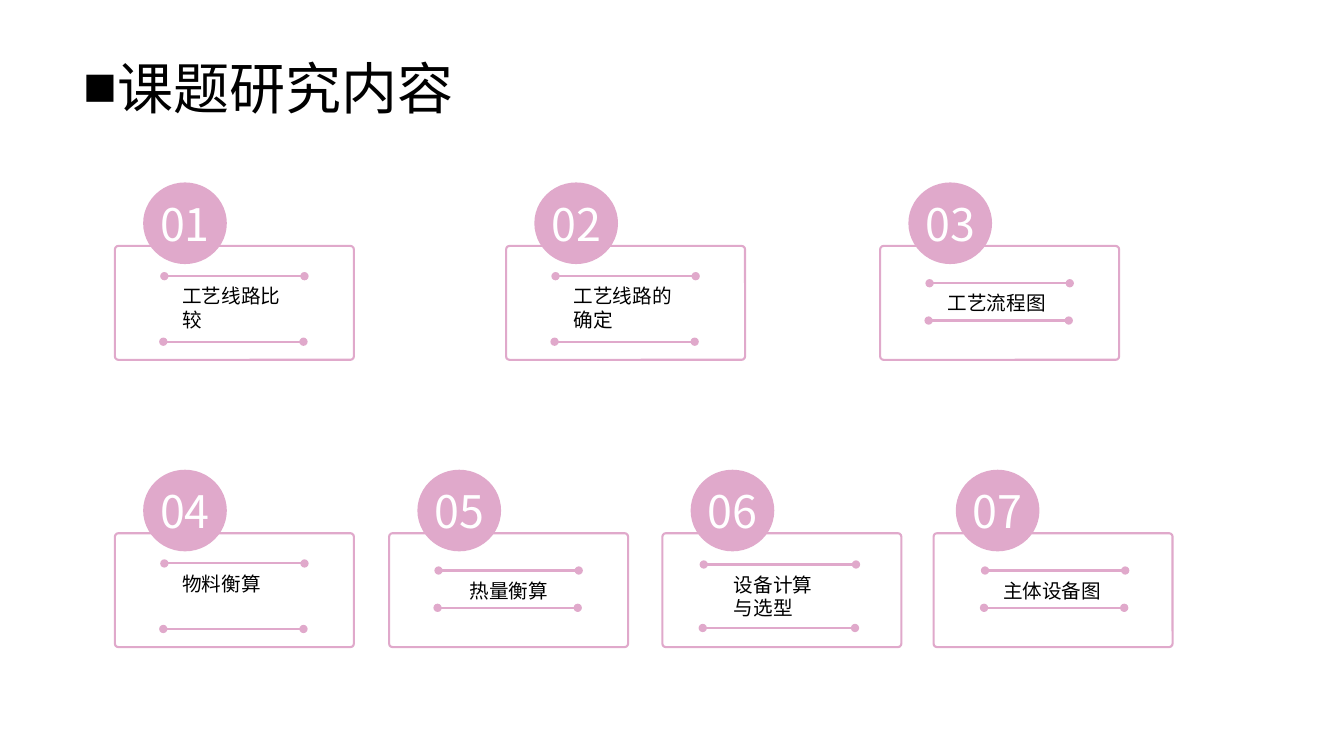
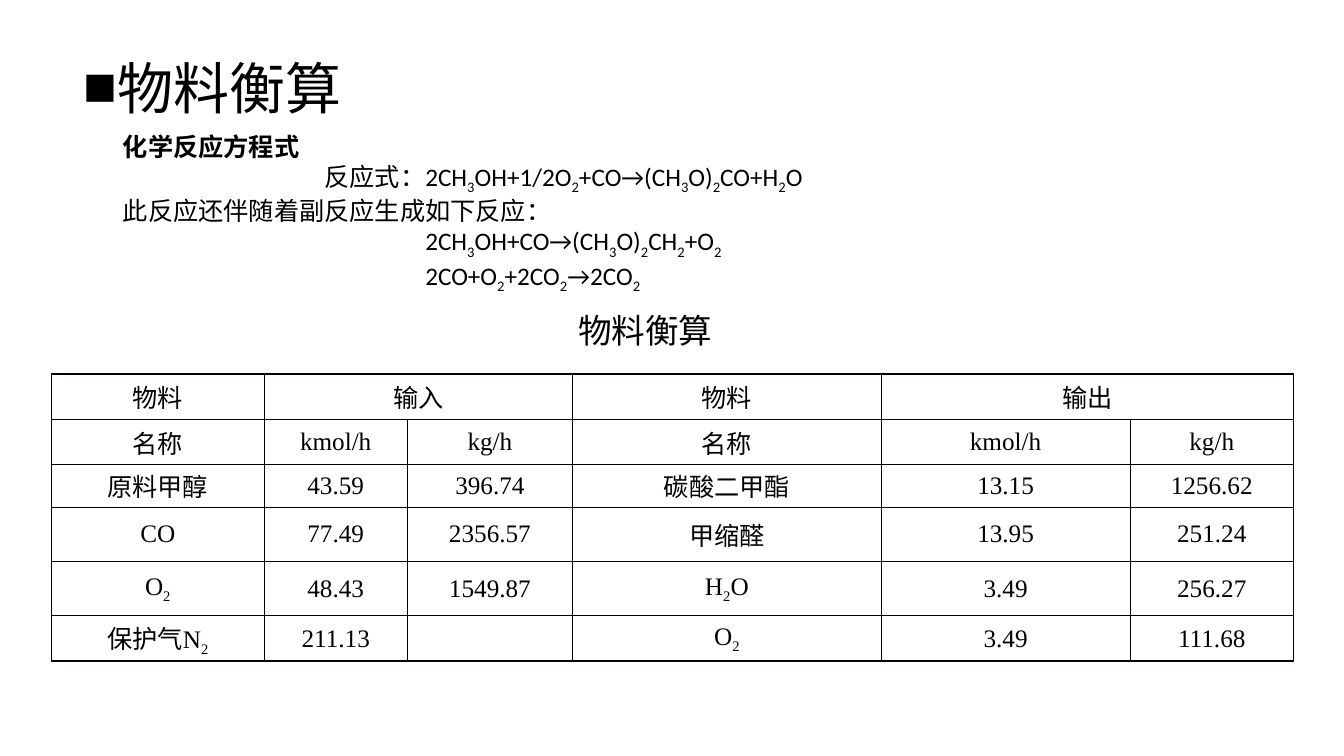
import pptx
import pptx.util
import pptx.dml.color
import pptx.enum.shapes
import pptx.enum.text
import pptx.oxml
import pptx.oxml.ns
from pptx.util import Inches

SHAPE = pptx.enum.shapes.MSO_SHAPE
CENTER = pptx.enum.text.PP_ALIGN.CENTER
MIDDLE = pptx.enum.text.MSO_ANCHOR.MIDDLE
NS = pptx.oxml.ns.nsdecls("a")


def rgb(hex_color):
    return pptx.dml.color.RGBColor.from_string(hex_color)


def element(xml):
    """Build one drawing element; a bar follows its tag name."""
    tag, rest = xml[1:].split("|", 1)
    return pptx.oxml.parse_xml(f"<a:{tag} {NS} {rest}")


class Deck:
    PINK, BLACK, WHITE, RULE = "E0A9CB", "000000", "FFFFFF", "080000"
    HEAD, BODY, TABLE = "Noto Sans CJK SC", "Calibri", "Times New Roman"

    def __init__(self):
        self.prs = pptx.Presentation()
        self.prs.slide_width = Inches(13.33)
        self.prs.slide_height = Inches(7.5)
        self.s = None

    def slide(self, title):
        self.s = self.prs.slides.add_slide(self.prs.slide_layouts[6])
        p = self.text(0.73, 0.48, 4.29, 0.77, [title], 40, self.HEAD).paragraphs[0]
        self.indent(p, 0.31, -0.31)
        pPr = p._p.get_or_add_pPr()
        pPr.append(element(f'<buFont|typeface="{self.TABLE}"/>'))
        pPr.append(element('<buChar|char="■"/>'))

    def indent(self, p, left, first=0):
        pPr = p._p.get_or_add_pPr()
        pPr.set("marL", str(Inches(left)))
        pPr.set("indent", str(Inches(first)))

    def add_runs(self, p, text, size, font, color=BLACK, align=None):
        """Fill a paragraph; the character after each underscore is a subscript."""
        first, *others = text.split("_")
        pieces = [(first, False)]
        for other in others:
            pieces += [(other[0], True), (other[1:], False)]
        p.alignment = align
        for piece, lowered in pieces:
            if not piece:
                continue
            r = p.add_run()
            r.text = piece
            r.font.size = pptx.util.Pt(size)
            r.font.name = font
            r.font.color.rgb = rgb(color)
            rPr = r._r.get_or_add_rPr()
            rPr.append(element(f'<ea|typeface="{self.HEAD}"/>'))
            if lowered:
                rPr.set("baseline", "-25000")

    def text(self, left, top, width, height, lines, size, font, align=None):
        box = self.s.shapes.add_textbox(*map(Inches, (left, top, width, height)))
        tf = box.text_frame
        tf.word_wrap = True
        for i, line in enumerate(lines):
            p = tf.add_paragraph() if i else tf.paragraphs[0]
            self.add_runs(p, line, size, font, align=align)
        return tf

    def shape(self, kind, left, top, width, height):
        sp = self.s.shapes.add_shape(kind, *map(Inches, (left, top, width, height)))
        sp.shadow.inherit = False
        return sp

    def frame(self, left, top):
        sp = self.shape(SHAPE.ROUNDED_RECTANGLE, left, top, 2.37, 1.13)
        sp.adjustments[0] = 0.03
        sp.fill.background()
        sp.line.color.rgb = rgb(self.PINK)
        sp.line.width = pptx.util.Pt(1.5)

    def badge(self, left, top, number):
        sp = self.shape(SHAPE.OVAL, left, top, 0.83, 0.81)
        sp.fill.solid()
        sp.fill.fore_color.rgb = rgb(self.PINK)
        sp.line.fill.background()
        tf = sp.text_frame
        tf.word_wrap = False
        tf.vertical_anchor = MIDDLE
        self.add_runs(tf.paragraphs[0], f"{number:02}", 32, self.HEAD, self.WHITE, CENTER)

    def dotted_rule(self, left, top, width):
        """Draw a horizontal line with a dot at each end."""
        line = self.s.shapes.add_connector(
            pptx.enum.shapes.MSO_CONNECTOR.STRAIGHT,
            *map(Inches, (left, top, left + width, top)))
        line.line.color.rgb = rgb(self.PINK)
        line.line.width = pptx.util.Pt(1.5)
        for end in ("headEnd", "tailEnd"):
            line.line._get_or_add_ln().append(element(f'<{end}|type="oval"/>'))
        line._element.spPr.append(element("<effectLst|/>"))

    def card(self, number, left, top, text, rules, rule_x=0.49, rule_w=1.39,
             text_x=0.57, text_w=1.2, badge_x=0.28):
        """Draw a numbered card; all offsets are from the frame's corner."""
        self.frame(left, top)
        upper, lower = rules
        self.dotted_rule(left + rule_x, top + upper, rule_w)
        self.dotted_rule(left + rule_x - 0.01, top + lower, rule_w)
        self.text(left + text_x, top + upper + 0.03, text_w, lower - upper - 0.06,
                  [text], 14, self.BODY)
        self.badge(left + badge_x, top - 0.63, number)

    def borders(self, cell, top, bottom):
        tcPr = cell._tc.get_or_add_tcPr()
        for side, width in (("L", 0.75), ("R", 0.75), ("T", top), ("B", bottom)):
            color = self.RULE if width > 0.75 else self.BLACK
            tcPr.append(element(
                f'<ln{side}|w="{pptx.util.Pt(width)}"><a:solidFill>'
                f'<a:srgbClr val="{color}"/></a:solidFill></a:ln{side}>'))

    def table(self, left, top, widths, heights, rows, merges):
        size = Inches(sum(widths)), Inches(sum(heights))
        tbl = self.s.shapes.add_table(len(rows), len(widths), Inches(left),
                                      Inches(top), *size).table
        tbl.first_row = tbl.horz_banding = False
        for column, width in zip(tbl.columns, widths):
            column.width = Inches(width)
        for row, height in zip(tbl.rows, heights):
            row.height = Inches(height)
        for row, first, last in merges:
            tbl.cell(row, first).merge(tbl.cell(row, last))
        # The outer rules are heavy and the header row closes with a medium one.
        rules = [1.5, 1] + [0.75] * (len(rows) - 2) + [1.5]
        for i, row in enumerate(rows):
            for j, text in enumerate(row):
                cell = tbl.cell(i, j)
                cell.margin_left = cell.margin_right = 0
                cell.margin_top = cell.margin_bottom = 0
                cell.vertical_anchor = MIDDLE
                self.borders(cell, rules[i], rules[i + 1])
                cell.fill.background()
                self.add_runs(cell.text_frame.paragraphs[0], text, 18, self.TABLE,
                              align=CENTER)


def contents_slide(deck):
    deck.slide("课题研究内容")
    tall, short = (0.3, 0.95), (0.37, 0.74)
    row_1, row_2 = 2.44, 5.29
    deck.card(1, 1.14, row_1, "工艺线路比较", tall)
    deck.card(2, 5.02, row_1, "工艺线路的确定", tall)
    deck.card(3, 8.73, row_1, "工艺流程图", short)
    deck.card(4, 1.14, row_2, "物料衡算", tall)
    deck.card(5, 3.86, row_2, "热量衡算", short, text_x=0.7)
    deck.card(6, 6.57, row_2, "设备计算与选型", (0.31, 0.94), rule_x=0.41,
              rule_w=1.51, text_x=0.61, text_w=1.05)
    deck.card(7, 9.26, row_2, "主体设备图", short, rule_x=0.51, text_x=0.59,
              badge_x=0.22)


def balance_slide(deck):
    deck.slide("物料衡算")
    equations = deck.text(1.12, 1.25, 11.1, 1.6, [
        "化学反应方程式",
        "反应式：2CH_3OH+1/2O_2+CO→(CH_3O)_2CO+H_2O",
        "此反应还伴随着副反应生成如下反应：",
        "2CH_3OH+CO→(CH_3O)_2CH_2+O_2",
        "2CO+O_2+2CO_2→2CO_2",
    ], 18, deck.BODY).paragraphs
    equations[0].runs[0].font.bold = True
    for p, left in ((equations[1], 2), (equations[3], 3), (equations[4], 3)):
        deck.indent(p, left)
    deck.text(0.73, 3.03, 11.34, 0.5, ["物料衡算"], 24, deck.HEAD, CENTER)
    deck.table(
        0.51, 3.71,
        [2.11, 1.42, 1.64, 3.06, 2.47, 1.62],
        [0.45, 0.45, 0.42, 0.54, 0.54, 0.45],
        [
            ["物料", "输入", "", "物料", "输出", ""],
            ["名称", "kmol/h", "kg/h"] * 2,
            ["原料甲醇", "43.59", "396.74", "碳酸二甲酯", "13.15", "1256.62"],
            ["CO", "77.49", "2356.57", "甲缩醛", "13.95", "251.24"],
            ["O_2", "48.43", "1549.87", "H_2O", "3.49", "256.27"],
            ["保护气N_2", "211.13", "", "O_2", "3.49", "111.68"],
        ],
        merges=[(0, 1, 2), (0, 4, 5)])


def main():
    deck = Deck()
    contents_slide(deck)
    balance_slide(deck)
    deck.prs.save("out.pptx")


if __name__ == "__main__":
    main()
